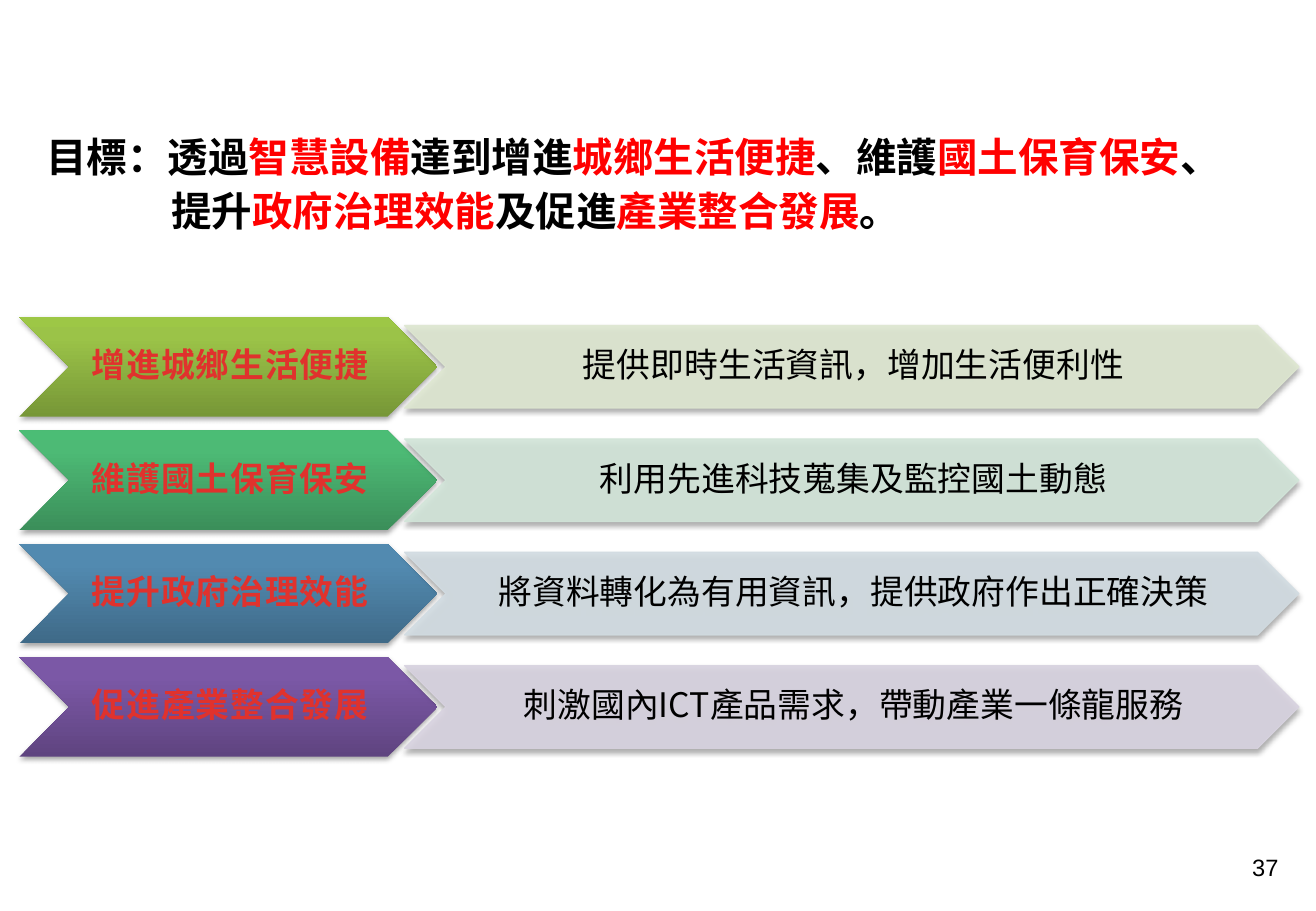
from dataclasses import dataclass

from pptx import Presentation
from pptx.dml.color import RGBColor
from pptx.enum.shapes import MSO_SHAPE
from pptx.enum.text import MSO_ANCHOR, PP_ALIGN
from pptx.oxml import parse_xml
from pptx.oxml.ns import nsdecls
from pptx.util import Inches, Pt


@dataclass(frozen=True)
class Theme:
    black: str = "000000"
    red: str = "FF0000"
    label: str = "E0322D"
    cjk: str = "Noto Sans CJK SC"
    latin: str = "Arial"
    goal: int = 24
    row: int = 20
    page: int = 14


theme = Theme()


def add_part(tag, parent, attrs="", inner=""):
    part = parse_xml(f'<a:{tag} {nsdecls("a")} {attrs}>{inner}</a:{tag}>')
    parent.append(part)
    return part


def write(para, text, size=theme.row, color=theme.black, font=theme.cjk,
          bold=False, track=0):
    run = para.add_run()
    run.text = text
    run.font.size = Pt(size)
    run.font.bold = bold
    run.font.color.rgb = RGBColor.from_string(color)
    run.font.name = font
    props = run.font._element
    add_part("ea", props, f'typeface="{font}"')
    if track:
        props.set("spc", str(track))


deck = Presentation()
deck.slide_width, deck.slide_height = Inches(10.83), Inches(7.5)
slide = deck.slides.add_slide(deck.slide_layouts[1])
title, body = slide.placeholders
title._element.getparent().remove(title._element)

# Goal statement with red key phrases
body.left, body.top = Inches(0.04), Inches(0.99)
body.width, body.height = Inches(10.26), Inches(1.65)
goal = body.text_frame.paragraphs[0]
props = goal._p.get_or_add_pPr()
props.set("marL", str(Inches(1.27)))
props.set("indent", str(Inches(-1.03)))
add_part("buNone", props)
goal.line_spacing = Pt(32)
goal.space_before = Pt(0)
phrases = ["目標：透過", "智慧設備", "達到增進", "城鄉生活便捷", "、維護",
           "國土保育保安", "、提升", "政府治理效能", "及促進",
           "產業整合發展", "。"]
for i, phrase in enumerate(phrases):
    write(goal, phrase, size=theme.goal, bold=True,
          color=theme.red if i % 2 else theme.black)

# Rows: aim, result, gradient from bottom to top, pale tint
rows = [
    ("增進城鄉生活便捷", "提供即時生活資訊，增加生活便利性",
     ("779737", "9BC348", "9DC746"), "DEE7D1"),
    ("維護國土保育保安", "利用先進科技蒐集及監控國土動態",
     ("3B8F5A", "4DBA75", "4BBD75"), "D2E5D9"),
    ("提升政府治理效能", "將資料轉化為有用資訊，提供政府作出正確決策",
     ("3F6A88", "528AB0", "518BB3"), "D2DCE2"),
    ("促進產業整合發展", "刺激國內ICT產品需求，帶動產業一條龍服務",
     ("5F4480", "7B58A6", "7C57A8"), "D8D3E0"),
]
pitch = 2.8 / 3
for i, (aim, result, shades, tint) in enumerate(rows):
    top = 2.61 + i * pitch
    boxes = [(0.16, top, 3.44, 0.82), (3.33, top + 0.07, 7.36, 0.68)]
    pair = [slide.shapes.add_chevron(*map(Inches, box))
            if hasattr(slide.shapes, "add_chevron")
            else slide.shapes.add_shape(MSO_SHAPE.CHEVRON, *map(Inches, box))
            for box in boxes]
    head, bar = pair

    # Strong gradient on the aim
    stops = "".join(
        f'<a:gs pos="{pos}000"><a:srgbClr val="{shade}"/></a:gs>'
        for pos, shade in zip((0, 80, 100), shades))
    grad = add_part("gradFill", head._element.spPr, 'rotWithShape="1"',
                    f'<a:gsLst>{stops}</a:gsLst><a:lin ang="16200000"/>')
    head._element.spPr.prstGeom.addnext(grad)
    head.line.fill.background()

    # Pale, slightly clear tint on the result
    bar.fill.solid()
    bar.line.fill.solid()
    bar.line.width = Pt(0.75)
    for paint in (bar.fill, bar.line.fill):
        paint.fore_color.rgb = RGBColor.from_string(tint)
    for color in bar._element.spPr.xpath(".//a:srgbClr"):
        add_part("alpha", color, 'val="90000"')

    # Soft shadow and text on both
    for shape in pair:
        shape.shadow.inherit = False
        add_part("outerShdw", shape._element.spPr.xpath("a:effectLst")[0],
                 f'blurRad="{Pt(3.1)}" dist="{Pt(1.8)}" dir="5400000" '
                 'rotWithShape="0"',
                 '<a:srgbClr val="000000"><a:alpha val="35000"/></a:srgbClr>')
        frame = shape.text_frame
        frame.word_wrap = True
        frame.vertical_anchor = MSO_ANCHOR.MIDDLE
        frame.margin_left, frame.margin_right = Inches(0.03), 0
        frame.margin_top = frame.margin_bottom = Inches(0.01)
        frame.paragraphs[0].alignment = PP_ALIGN.CENTER
        frame.paragraphs[0].line_spacing = 0.9
    write(head.text_frame.paragraphs[0], aim, color=theme.label, bold=True,
          track=50)
    write(bar.text_frame.paragraphs[0], result)

# Page number
page = slide.shapes.add_textbox(Inches(8.09), Inches(6.97),
                                Inches(2.53), Inches(0.4))
page.text_frame.word_wrap = True
page.text_frame.paragraphs[0].alignment = PP_ALIGN.RIGHT
write(page.text_frame.paragraphs[0], "37", size=theme.page, font=theme.latin)

deck.save("out.pptx")
